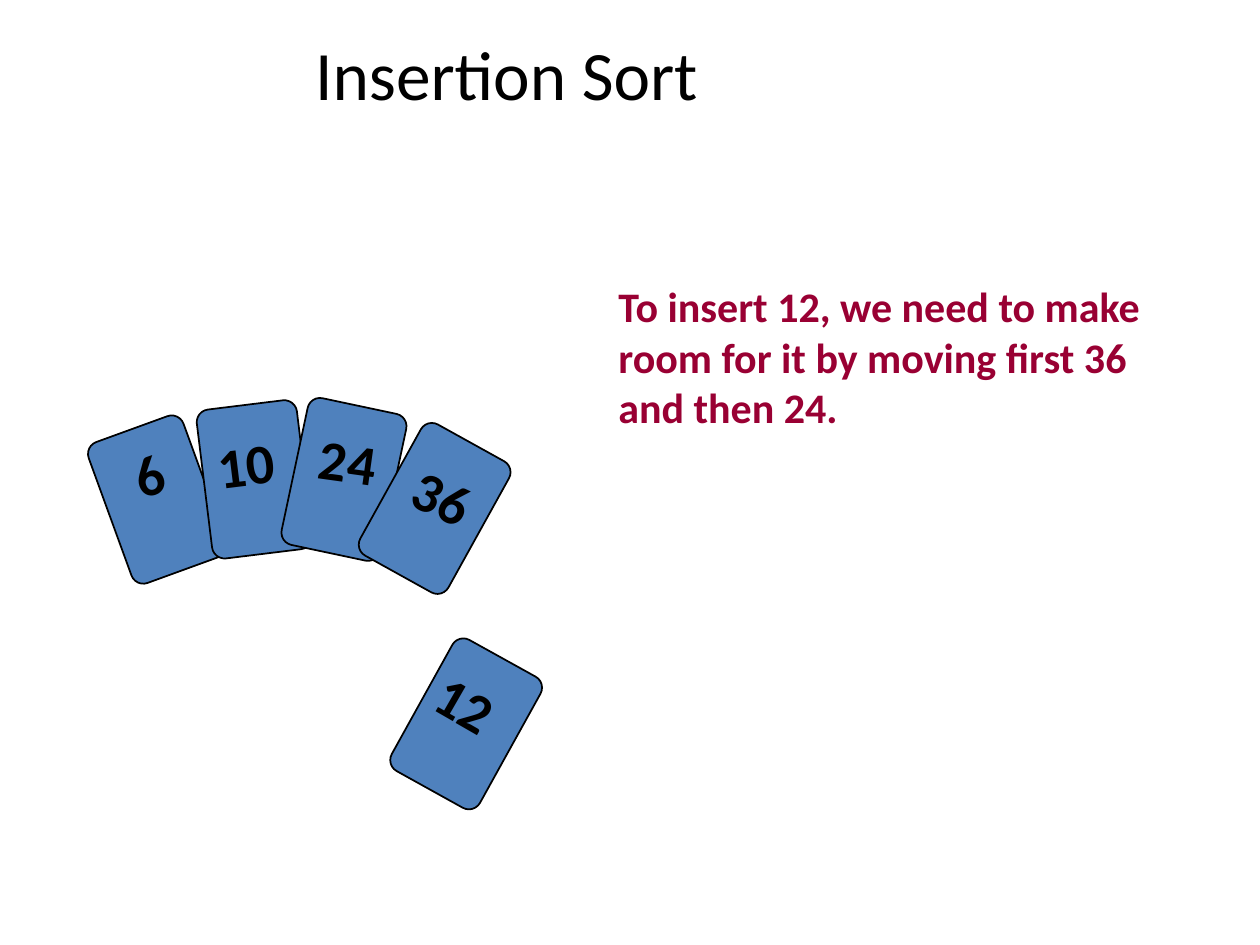
import dataclasses

import pptx
import pptx.dml.color
import pptx.enum.shapes
import pptx.enum.text
import pptx.util

Inches = pptx.util.Inches
Pt = pptx.util.Pt
RGB = pptx.dml.color.RGBColor.from_string
AutoSize = pptx.enum.text.MSO_AUTO_SIZE


@dataclasses.dataclass(frozen=True)
class Theme:
    family: str = "Calibri"
    ink: str = "000000"
    accent: str = "990033"
    card: str = "4F81BD"
    title_size: float = 39.6
    note_size: float = 24
    number_size: float = 32
    outline: float = 1


THEME = Theme()
CARD_SIZE = (0.8, 1.19)
NUMBER_HEIGHT = 0.63

# number, card offset, card tilt, number offset from its card, number width, number tilt
SORTED_HAND = [
    ("6", (0, 0.16), 340, (0.12, 0.07), 0.45, 341),
    ("10", (0.77, 0), 353, (0.01, 0.15), 0.7, 353),
    ("24", (1.48, 0), 12, (0.11, 0.13), 0.7, 8),
    ("36", (2.2, 0.23), 29, (0.14, 0.19), 0.7, 25),
]
DRAWN_CARD = [("12", (0, 0), 29, (0.07, 0.13), 0.7, 30)]


def write(frame, words, size, color, bold):
    frame.text = words
    formats = {"name": THEME.family, "size": Pt(size), "bold": bold}
    font = frame.paragraphs[0].runs[0].font
    for attribute, value in formats.items():
        setattr(font, attribute, value)
    font.color.rgb = RGB(color)


def add_title(slide, left, top, width, height):
    title = slide.shapes.title
    box = {"left": left, "top": top, "width": width, "height": height}
    for attribute, value in box.items():
        setattr(title, attribute, Inches(value))
    frame = title.text_frame
    write(frame, "Insertion Sort", THEME.title_size, THEME.ink, False)
    frame.auto_size = AutoSize.NONE
    frame.vertical_anchor = pptx.enum.text.MSO_ANCHOR.BOTTOM
    frame.paragraphs[0].alignment = pptx.enum.text.PP_ALIGN.CENTER


def add_explanation(slide, left, top, width, height):
    box = map(Inches, (left, top, width, height))
    frame = slide.shapes.add_textbox(*box).text_frame
    frame.word_wrap = True
    frame.auto_size = AutoSize.SHAPE_TO_FIT_TEXT
    write(frame, "To insert 12, we need to make room for it by moving first 36 and then 24.",
          THEME.note_size, THEME.accent, True)


def add_card(slide, left, top, tilt):
    card = slide.shapes.add_shape(
        pptx.enum.shapes.MSO_SHAPE.ROUNDED_RECTANGLE,
        *map(Inches, (left, top, *CARD_SIZE)))
    card.adjustments[0] = 0.125
    card.rotation = tilt
    card.shadow.inherit = False
    card.fill.solid()
    card.fill.fore_color.rgb = RGB(THEME.card)
    card.line.color.rgb = RGB(THEME.ink)
    card.line.width = Pt(THEME.outline)


def add_number(slide, number, left, top, width, tilt):
    label = slide.shapes.add_textbox(*map(Inches, (left, top, width, NUMBER_HEIGHT)))
    label.rotation = tilt
    frame = label.text_frame
    frame.word_wrap = False
    frame.auto_size = AutoSize.SHAPE_TO_FIT_TEXT
    write(frame, number, THEME.number_size, THEME.ink, True)


def add_cards(slide, left, top, cards):
    """Lay numbered cards, back to front, from the given corner."""
    for number, (dx, dy), card_tilt, (inset_x, inset_y), width, number_tilt in cards:
        add_card(slide, left + dx, top + dy, card_tilt)
        add_number(slide, number, left + dx + inset_x, top + dy + inset_y,
                   width, number_tilt)


def main():
    deck = pptx.Presentation()
    deck.slide_width, deck.slide_height = Inches(10), Inches(7.5)
    slide = deck.slides.add_slide(deck.slide_layouts.get_by_name("Title Only"))
    add_explanation(slide, 4.81, 2.18, 4.66, 1.3)
    add_title(slide, 0.56, 0.68, 6.92, 0.28)
    add_cards(slide, 0.85, 3.21, SORTED_HAND)
    add_cards(slide, 3.3, 5.15, DRAWN_CARD)
    deck.save("out.pptx")


if __name__ == "__main__":
    main()
